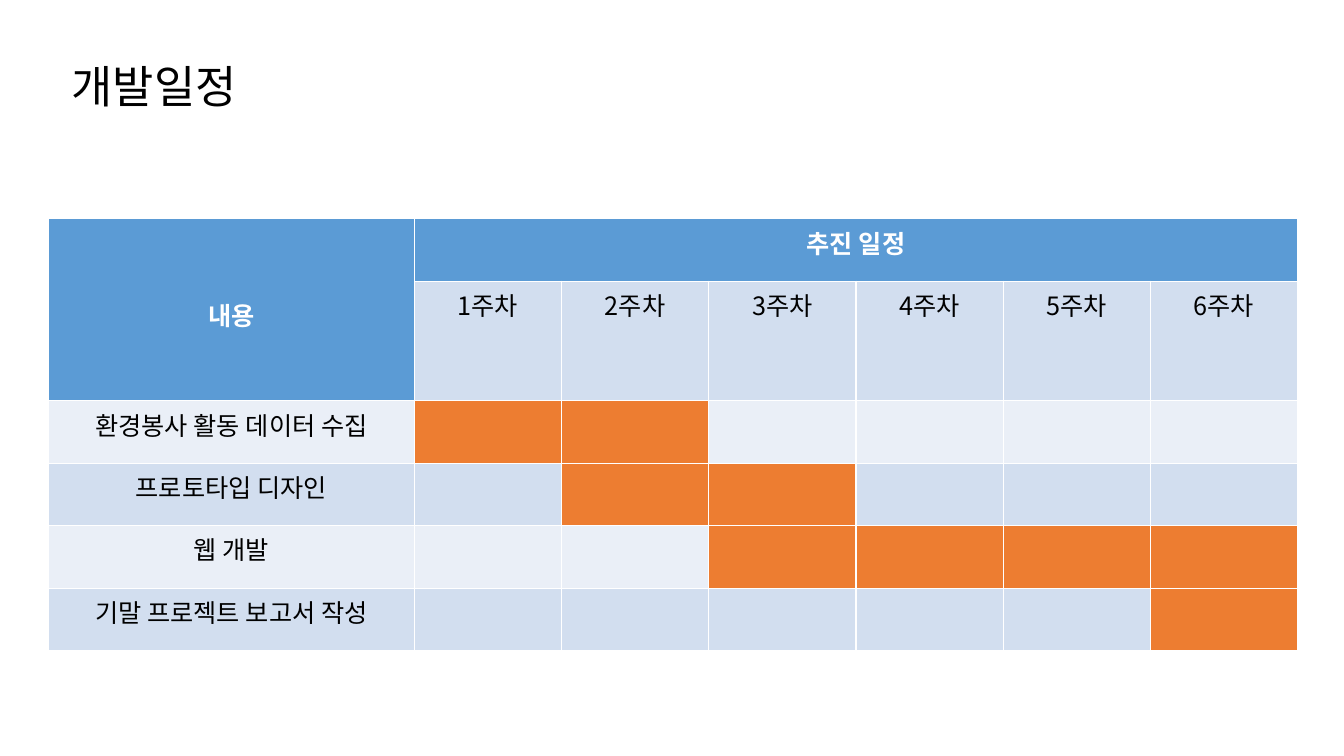
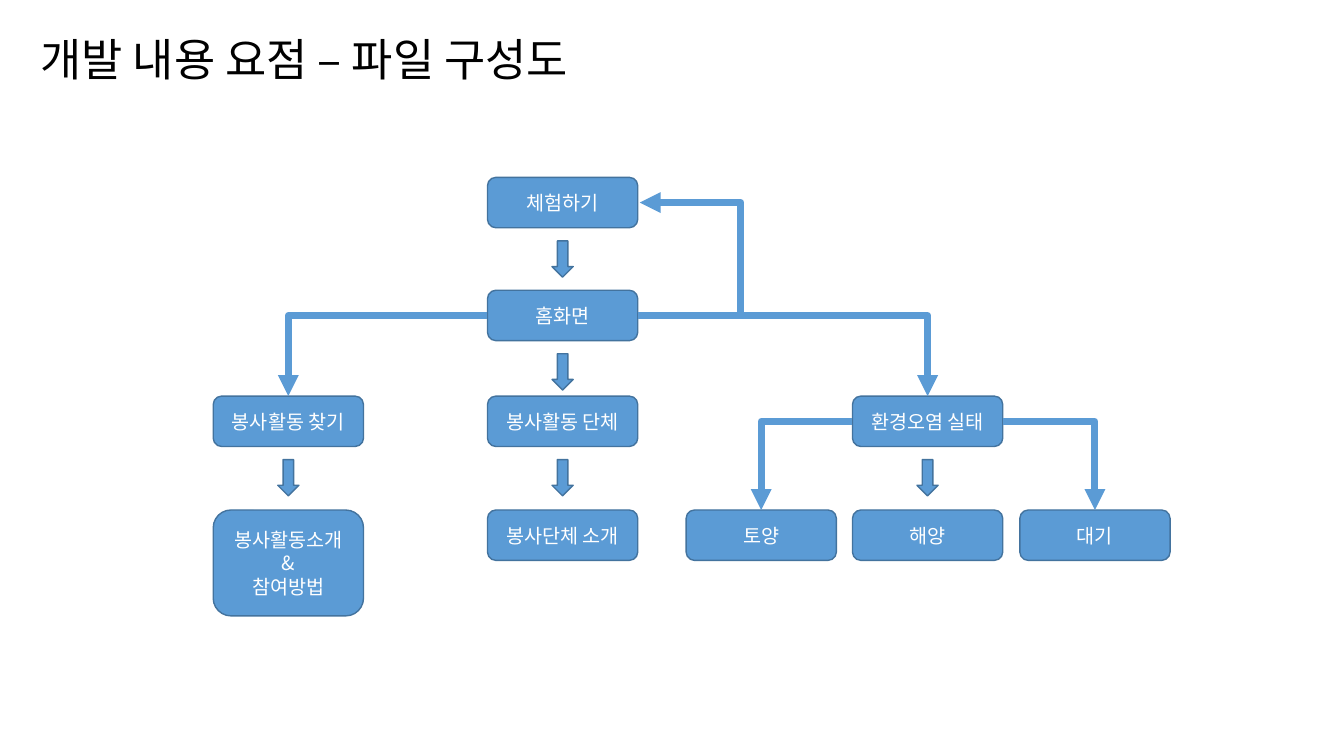
from dataclasses import dataclass
from typing import Any

from lxml import etree
from pptx import Presentation
from pptx.dml.color import RGBColor
from pptx.enum.shapes import MSO_CONNECTOR, MSO_SHAPE
from pptx.enum.text import MSO_ANCHOR, MSO_AUTO_SIZE, PP_ALIGN
from pptx.oxml.ns import qn
from pptx.util import Inches, Pt

LEFT, CENTER = PP_ALIGN.LEFT, PP_ALIGN.CENTER
MIDDLE = MSO_ANCHOR.MIDDLE
NOFIT = MSO_AUTO_SIZE.NONE
ROUND, DOWN = MSO_SHAPE.ROUNDED_RECTANGLE, MSO_SHAPE.DOWN_ARROW
ELBOW = MSO_CONNECTOR.ELBOW
TOP, WEST, EAST = 0, 1, 3
TITLE_ONLY = 5


@dataclass(frozen=True)
class Theme:
    font: str = "Noto Sans CJK KR"
    black: str = "000000"
    white: str = "FFFFFF"
    blue: str = "5B9BD5"
    edge: str = "43739E"
    bands: tuple[str, str] = ("D2DEEF", "EAEFF7")
    mark: str = "ED7D31"
    head: int = 32
    cell: int = 18
    label: int = 14
    wire: int = 5


@dataclass(frozen=True)
class Task:
    name: str
    first: int
    last: int


@dataclass(frozen=True)
class Node:
    text: str
    mid: float
    top: float
    high: float = 0.5


@dataclass(frozen=True)
class Link:
    start: str
    side: int
    end: str


THEME = Theme()
WEEKS = 6
TASKS = (
    Task("환경봉사 활동 데이터 수집", 1, 2),
    Task("프로토타입 디자인", 2, 3),
    Task("웹 개발", 3, 6),
    Task("기말 프로젝트 보고서 작성", 6, 6),
)
WIDE = 1.49
COLS = (2.86, 5.58, 7.55, 9.2, 10.86)
ROWS = (1.76, 2.88, 3.93, 5.06)
NODES = {
    "try": Node("체험하기", COLS[1], ROWS[0]),
    "home": Node("홈화면", COLS[1], ROWS[1]),
    "find": Node("봉사활동 찾기", COLS[0], ROWS[2]),
    "group": Node("봉사활동 단체", COLS[1], ROWS[2]),
    "state": Node("환경오염 실태", COLS[3], ROWS[2]),
    "guide": Node("봉사활동소개\n&\n참여방법", COLS[0], ROWS[3], 1.05),
    "about": Node("봉사단체 소개", COLS[1], ROWS[3]),
    "soil": Node("토양", COLS[2], ROWS[3]),
    "sea": Node("해양", COLS[3], ROWS[3]),
    "air": Node("대기", COLS[4], ROWS[3]),
}
STEPS = ("try", "home", "find", "group", "state")
LINKS = (
    Link("home", WEST, "find"),
    Link("home", EAST, "state"),
    Link("state", WEST, "soil"),
    Link("state", EAST, "air"),
)


def apply(item: Any, style: dict[str, Any]) -> None:
    for key, value in style.items():
        setattr(item, key, value)


def rgb(color: str) -> RGBColor:
    return RGBColor.from_string(color)


def paint(item: Any, color: str) -> None:
    item.fill.solid()
    item.fill.fore_color.rgb = rgb(color)


def write(frame: Any, text: str, size: int, color: str, bold: bool = False,
          align: Any = CENTER, space: float | None = None) -> None:
    frame.text = text
    for para in frame.paragraphs:
        apply(para, {"alignment": align, "line_spacing": space})
        for run in para.runs:
            apply(run.font, {"name": THEME.font, "size": Pt(size), "bold": bold})
            run.font.color.rgb = rgb(color)
            east = etree.SubElement(run.font._element, qn("a:ea"))
            east.set("typeface", THEME.font)


def add_page(deck: Any, text: str, area: tuple[float, ...]) -> Any:
    page = deck.slides.add_slide(deck.slide_layouts[TITLE_ONLY])
    title = page.shapes.title
    apply(title, dict(zip(("left", "top", "width", "height"), map(Inches, area))))
    apply(title.text_frame, {"vertical_anchor": MIDDLE, "word_wrap": True,
                             "auto_size": NOFIT})
    write(title.text_frame, text, THEME.head, THEME.black, align=LEFT, space=0.9)
    return page


def add_plan(page: Any) -> None:
    count = len(TASKS) + 2
    area = map(Inches, (0.48, 2.17, 12.38, 3.72))
    table = page.shapes.add_table(count, WEEKS + 1, *area).table
    for num, col in enumerate(table.columns):
        col.width = Inches(1.46 if num else 3.63)
    for row in table.rows:
        row.height = Inches(0.62)
    for num in range(count):
        for week in range(WEEKS + 1):
            head = num == 0 or (num == 1 and week == 0)
            color = THEME.blue if head else THEME.bands[(num + 1) % 2]
            paint(table.cell(num, week), color)
    table.cell(0, 0).merge(table.cell(1, 0))
    table.cell(0, 1).merge(table.cell(0, WEEKS))
    for col, text, space in ((0, "내용", 3.0), (1, "추진 일정", None)):
        write(table.cell(0, col).text_frame, text, THEME.cell, THEME.white,
              bold=True, space=space)
    for week in range(1, WEEKS + 1):
        write(table.cell(1, week).text_frame, f"{week}주차", THEME.cell, THEME.black)
    for num, task in enumerate(TASKS, 2):
        write(table.cell(num, 0).text_frame, task.name, THEME.cell, THEME.black)
        for week in range(task.first, task.last + 1):
            paint(table.cell(num, week), THEME.mark)


def add_form(page: Any, kind: Any, mid: float, top: float,
             wide: float, high: float) -> Any:
    area = map(Inches, (mid - wide / 2, top, wide, high))
    form = page.shapes.add_shape(kind, *area)
    form.shadow.inherit = False
    paint(form, THEME.blue)
    form.line.color.rgb = rgb(THEME.edge)
    form.line.width = Pt(1)
    return form


def add_node(page: Any, node: Node) -> Any:
    box = add_form(page, ROUND, node.mid, node.top, WIDE, node.high)
    apply(box.text_frame, {"vertical_anchor": MIDDLE, "word_wrap": True})
    write(box.text_frame, node.text, THEME.label, THEME.white)
    return box


def add_wire(page: Any, *ends: float) -> Any:
    wire = page.shapes.add_connector(ELBOW, *map(Inches, ends))
    wire.line.color.rgb = rgb(THEME.blue)
    wire.line.width = Pt(THEME.wire)
    tail = etree.SubElement(wire.line._get_or_add_ln(), qn("a:tailEnd"))
    tail.set("type", "triangle")
    etree.SubElement(wire._element.spPr, qn("a:effectLst"))
    return wire


def add_link(page: Any, boxes: dict[str, Any], link: Link) -> None:
    start, end = NODES[link.start], NODES[link.end]
    edge = start.mid + (WIDE / 2 if link.side == EAST else -WIDE / 2)
    wire = add_wire(page, edge, start.top + start.high / 2, end.mid, end.top)
    wire._element.spPr.find(qn("a:prstGeom")).set("prst", "bentConnector2")
    wire.begin_connect(boxes[link.start], link.side)
    wire.end_connect(boxes[link.end], TOP)


def add_loop(page: Any) -> None:
    start, end = NODES["home"], NODES["try"]
    edge, gap, reach = start.mid + WIDE / 2, 0.02, 1.02
    wire = add_wire(page, edge, start.top + start.high / 2,
                    edge + gap, end.top + end.high / 2)
    geom = wire._element.spPr.find(qn("a:prstGeom"))
    guide = etree.SubElement(geom.find(qn("a:avLst")), qn("a:gd"))
    guide.set("name", "adj1")
    guide.set("fmla", f"val {round(reach / gap * 100000)}")


def add_map(page: Any) -> None:
    boxes = {key: add_node(page, node) for key, node in NODES.items()}
    for key in STEPS:
        node = NODES[key]
        add_form(page, DOWN, node.mid, node.top + node.high + 0.13, 0.21, 0.36)
    for link in LINKS:
        add_link(page, boxes, link)
    add_loop(page)


def main() -> None:
    deck = Presentation()
    apply(deck, {"slide_width": Inches(13.33), "slide_height": Inches(7.5)})
    add_plan(add_page(deck, "개발일정", (0.61, 0.16, 11.5, 1.45)))
    add_map(add_page(deck, "개발 내용 요점 – 파일 구성도", (0.3, 0.26, 6.18, 0.71)))
    deck.save("out.pptx")


if __name__ == "__main__":
    main()
